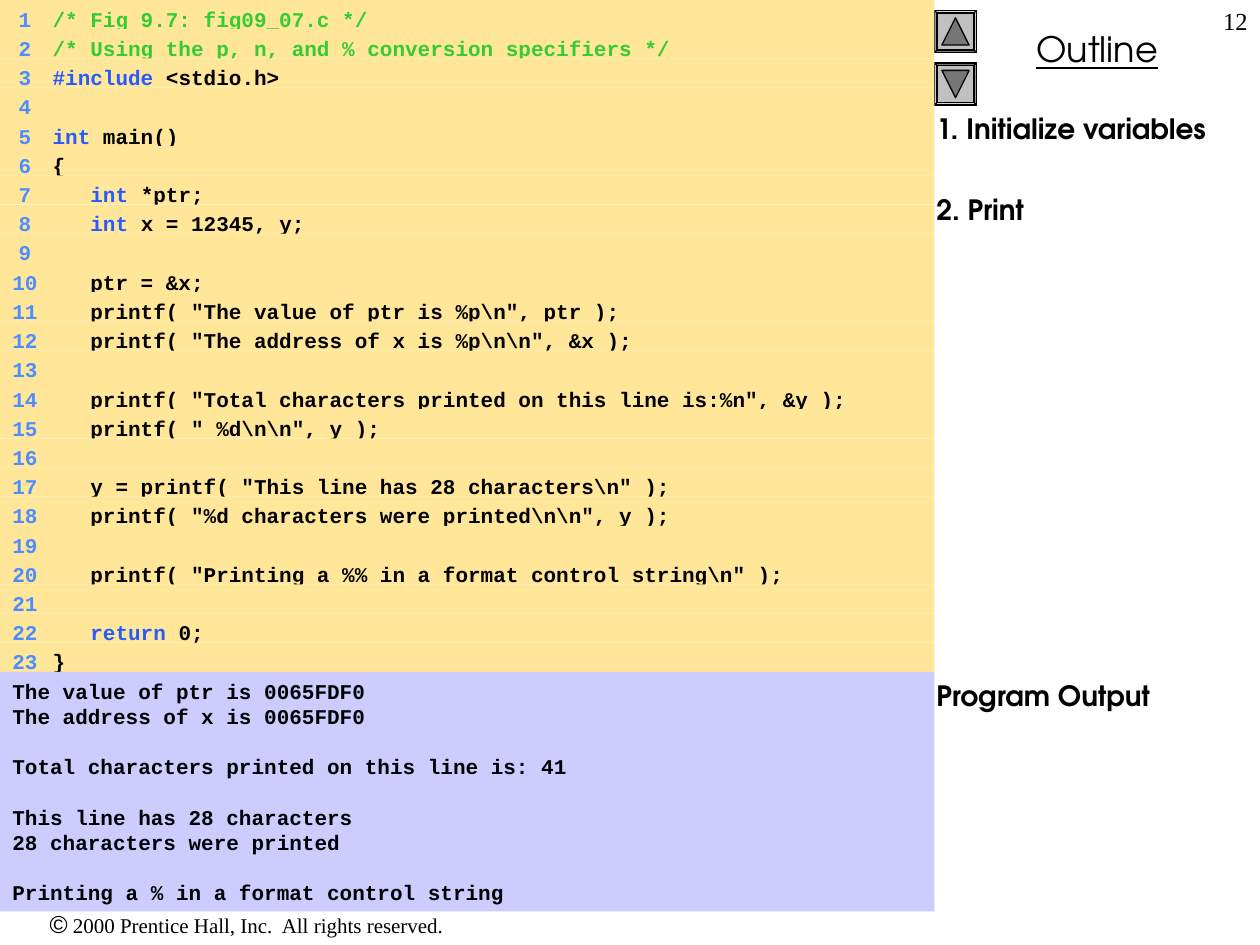
from pptx import Presentation
from pptx.dml.color import RGBColor
from pptx.enum.shapes import MSO_SHAPE
from pptx.enum.text import MSO_ANCHOR, PP_ALIGN
from pptx.oxml.ns import qn
from pptx.util import Pt
from lxml import etree

RECT, BEVEL, TRIANGLE = MSO_SHAPE.RECTANGLE, MSO_SHAPE.BEVEL, MSO_SHAPE.ISOSCELES_TRIANGLE
LEFT, CENTER, RIGHT = PP_ALIGN.LEFT, PP_ALIGN.CENTER, PP_ALIGN.RIGHT
TOP = MSO_ANCHOR.TOP
MONO, SANS, SERIF = "Courier New", "TeX Gyre Adventor", "Times New Roman"
BLACK, NUMBER, KEYWORD, COMMENT = "000000", "4D8DFF", "275AFF", "33CC33"

CODE = r'''/* Fig 9.7: fig09_07.c */
/* Using the p, n, and % conversion specifiers */
#include <stdio.h>

int main()
{
   int *ptr;
   int x = 12345, y;

   ptr = &x;
   printf( "The value of ptr is %p\n", ptr );
   printf( "The address of x is %p\n\n", &x );

   printf( "Total characters printed on this line is:%n", &y );
   printf( " %d\n\n", y );

   y = printf( "This line has 28 characters\n" );
   printf( "%d characters were printed\n\n", y );

   printf( "Printing a %% in a format control string\n" );

   return 0;
}'''.split("\n")
KEYWORDS = ("#include", "int", "return")
CODE_W, CODE_H = 534, 384
ROW_H = CODE_H / len(CODE)
LINE_H = 14.4  # one line of program output


def rgb(color):
    return RGBColor.from_string(color)


def add_block(shape, x, y, w, h, fill, line=None):
    s = slide.shapes.add_shape(shape, Pt(x), Pt(y), Pt(w), Pt(h))
    s.shadow.inherit = False
    s.fill.solid()
    s.fill.fore_color.rgb = rgb(fill)
    if line:
        s.line.color.rgb = rgb(line)
        s.line.width = Pt(0.75)
    else:
        s.line.fill.background()
    s.text_frame.word_wrap = True
    s.text_frame.vertical_anchor = TOP
    return s


prs = Presentation()
prs.slide_width, prs.slide_height = Pt(720), Pt(540)
slide = prs.slides.add_slide(prs.slide_layouts[6])

# Single-line labels: box, alignment, font, size, underline, runs
labels = [
    ((0, 516, 282, 24.5), CENTER, SERIF, 12, False,
     ["©", " 2000 Prentice Hall, Inc.  All rights reserved."]),
    ((534, 12, 186, 31.5), CENTER, SANS, 20, True, ["Outline"]),
    ((570, 0, 150, 36), RIGHT, SERIF, 14, False, ["12"]),
]
for box, align, font, size, underline, texts in labels:
    tf = slide.shapes.add_textbox(*map(Pt, box)).text_frame
    tf.word_wrap = True
    p = tf.paragraphs[0]
    p.alignment = align
    p.font.name, p.font.size, p.font.underline = font, Pt(size), underline
    p.font.color.rgb = rgb(BLACK)
    for text in texts:
        r = p.add_run()
        r.text = text
        if text == "©":
            r.font.name, r.font.size = "Arial", Pt(14)

# Up and down buttons
for y, bevel_turn, arrow_turn in [(6, 90, 0), (36, 270, 180)]:
    s = add_block(BEVEL, 534, y, 24, 24, "C0C0C0", BLACK)
    s.adjustments[0] = 0.06
    s.rotation = bevel_turn
    s = add_block(TRIANGLE, 538.2, y + 4.2, 15.6, 15.6, "767676", BLACK)
    s.rotation = arrow_turn

# Outline topics
tf = slide.shapes.add_textbox(Pt(528), Pt(60), Pt(192), Pt(480)).text_frame
tf.word_wrap = True
topics = [("1. Initialize variables", 0), ("2. Print", 27.2), ("Program Output", 258.5)]
for i, (text, gap) in enumerate(topics):
    p = tf.add_paragraph() if i else tf.paragraphs[0]
    p.text = text
    p.space_before = Pt(gap)
    p.font.name, p.font.size, p.font.bold = SANS, Pt(16), True
    p.font.color.rgb = rgb(BLACK)

# Numbered code listing, one row per line
for i, code in enumerate(CODE):
    s = add_block(RECT, 0, i * ROW_H, CODE_W, ROW_H, "FFE699")
    p = s.text_frame.paragraphs[0]
    p.alignment = LEFT
    tabs = etree.SubElement(p._p.get_or_add_pPr(), qn("a:tabLst"))
    for pos, kind in [(10.8, "r"), (23, "l")]:
        etree.SubElement(tabs, qn("a:tab"), pos=str(Pt(pos)), algn=kind)
    p.font.name, p.font.size, p.font.bold = MONO, Pt(12), True

    body = code.lstrip()
    indent = code[:len(code) - len(body)]
    word = body.split(" ")[0]
    runs = [(f"\t{i + 1}\t", NUMBER)]
    if word in KEYWORDS:
        runs += [(indent + word, KEYWORD), (body[len(word):], BLACK)]
    elif code:
        runs.append((code, COMMENT if word == "/*" else BLACK))
    for text, color in runs:
        r = p.add_run()
        r.text = text
        r.font.color.rgb = rgb(color)

# Program output
s = add_block(RECT, 0, CODE_H, CODE_W, 136.8, "CCCCFF")
output = [
    ("The value of ptr is 0065FDF0", 0),
    ("The address of x is 0065FDF0", 0),
    ("Total characters printed on this line is: 41", LINE_H),
    ("This line has 28 characters", LINE_H),
    ("28 characters were printed", 0),
    ("Printing a % in a format control string", LINE_H),
]
for i, (text, gap) in enumerate(output):
    p = s.text_frame.add_paragraph() if i else s.text_frame.paragraphs[0]
    p.text = text
    p.alignment = LEFT
    p.space_before = Pt(gap)
    p.font.name, p.font.size, p.font.bold = MONO, Pt(12), True
    p.font.color.rgb = rgb(BLACK)

prs.save("out.pptx")
